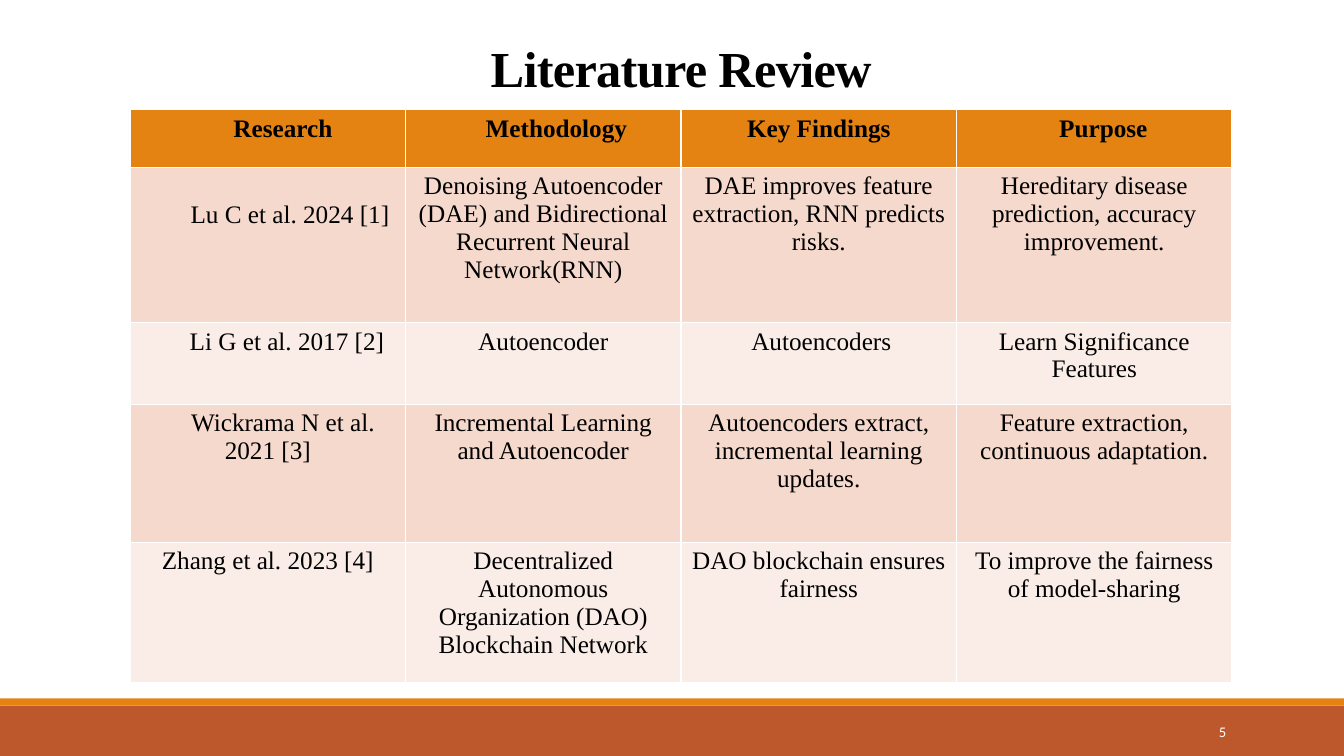
"""Build the literature review slide with its comparison table."""
import dataclasses
import typing

import pptx
import pptx.dml.color
import pptx.enum.shapes
import pptx.enum.text
import pptx.slide
import pptx.text.text
import pptx.util

Inches = pptx.util.Inches
Align = pptx.enum.text.PP_ALIGN
Anchor = pptx.enum.text.MSO_ANCHOR


@dataclasses.dataclass(frozen=True)
class Theme:
    """Colours, fonts and type sizes of the slide."""
    orange: str = "E48312"
    rust: str = "BD582C"
    bands: tuple[str, str] = ("F5D9CC", "FAEDE7")
    black: str = "000000"
    white: str = "FFFFFF"
    serif: str = "Times New Roman"
    sans: str = "Calibri"
    title_size: float = 36
    table_size: float = 18
    number_size: float = 10.5


class Bar(typing.NamedTuple):
    """A full-width footer bar."""
    top: float
    height: float
    color: str


class Entry(typing.NamedTuple):
    """A table cell's wording with its first-line indent and extra top space."""
    text: str
    indent: float = 0
    drop: float = 0


class Row(typing.NamedTuple):
    """A table row."""
    height: float
    entries: tuple[Entry, ...]


THEME = Theme()
SLIDE_WIDTH = 13.33
LEFT, CONTENT_WIDTH = 1.29, 10.93
BARS = (Bar(7, 0.5, THEME.rust), Bar(6.93, 0.07, THEME.orange))
ROWS = (
    Row(0.57, (
        Entry("Research", 0.3),
        Entry("Methodology", 0.26),
        Entry("Key Findings"),
        Entry("Purpose", 0.18))),
    Row(1.54, (
        Entry("Lu C et al. 2024 [1]", 0.44, 0.28),
        Entry("Denoising Autoencoder (DAE) and Bidirectional Recurrent Neural Network(RNN)"),
        Entry("DAE improves feature extraction, RNN predicts risks."),
        Entry("Hereditary disease prediction, accuracy improvement."))),
    Row(0.81, (
        Entry("Li G et al. 2017 [2]", 0.38),
        Entry("Autoencoder"),
        Entry("Autoencoders", 0.05),
        Entry("Learn Significance Features"))),
    Row(1.37, (
        Entry("Wickrama N et al. 2021 [3]", 0.3),
        Entry("Incremental Learning and Autoencoder"),
        Entry("Autoencoders extract, incremental learning updates."),
        Entry("Feature extraction, continuous adaptation."))),
    Row(1.39, (
        Entry("Zhang et al. 2023 [4]"),
        Entry("Decentralized Autonomous Organization (DAO) Blockchain Network"),
        Entry("DAO blockchain ensures fairness"),
        Entry("To improve the fairness of model-sharing"))),
)


def rgb(color: str) -> pptx.dml.color.RGBColor:
    """Turn a hex string into a colour."""
    return pptx.dml.color.RGBColor.from_string(color)


def write(frame: pptx.text.text.TextFrame, text: str, size: float, color: str,
          font: str = THEME.serif, bold: bool = False,
          align: Align = Align.CENTER) -> pptx.text.text._Paragraph:
    """Set a frame's text in one format and return its paragraph."""
    frame.text = text
    frame.word_wrap = True
    para = frame.paragraphs[0]
    para.alignment = align
    span = para.runs[0].font
    span.name, span.size, span.bold = font, pptx.util.Pt(size), bold
    span.color.rgb = rgb(color)
    return para


def draw_bar(page: pptx.slide.Slide, bar: Bar) -> None:
    """Draw one footer bar."""
    shape = page.shapes.add_shape(
        pptx.enum.shapes.MSO_SHAPE.RECTANGLE,
        0, Inches(bar.top), Inches(SLIDE_WIDTH), Inches(bar.height))
    shape.shadow.inherit = False
    shape.fill.solid()
    shape.fill.fore_color.rgb = rgb(bar.color)
    shape.line.fill.background()


def draw_title(page: pptx.slide.Slide, text: str) -> None:
    """Place and format the title placeholder."""
    title = page.shapes.title
    title.left, title.top = Inches(LEFT), Inches(0.04)
    title.width, title.height = Inches(CONTENT_WIDTH), Inches(0.98)
    para = write(title.text_frame, text, THEME.title_size, THEME.black, bold=True)
    para.line_spacing = 0.85
    para.runs[0].font._element.set("spc", "-50")
    title.text_frame.vertical_anchor = Anchor.BOTTOM
    title.text_frame.auto_size = pptx.enum.text.MSO_AUTO_SIZE.NONE


def draw_number(page: pptx.slide.Slide, text: str) -> None:
    """Write the page number in the footer."""
    box = page.shapes.add_textbox(Inches(10.83), Inches(7.06), Inches(1.43), Inches(0.4))
    write(box.text_frame, text, THEME.number_size, THEME.white, THEME.sans, align=Align.RIGHT)
    box.text_frame.vertical_anchor = Anchor.MIDDLE


def draw_table(page: pptx.slide.Slide, rows: tuple[Row, ...]) -> None:
    """Draw the table with a bold header and alternating row fills."""
    columns = len(rows[0].entries)
    table = page.shapes.add_table(
        len(rows), columns, Inches(LEFT), Inches(1.09), Inches(CONTENT_WIDTH),
        Inches(sum(row.height for row in rows))).table
    for index, row in enumerate(rows):
        table.rows[index].height = Inches(row.height)
        header = index == 0
        fill = THEME.orange if header else THEME.bands[(index - 1) % 2]
        for column, entry in enumerate(row.entries):
            cell = table.cell(index, column)
            cell.fill.solid()
            cell.fill.fore_color.rgb = rgb(fill)
            cell.margin_top = Inches(0.05 + entry.drop)
            para = write(cell.text_frame, entry.text, THEME.table_size, THEME.black, bold=header)
            para._p.get_or_add_pPr().set("indent", str(Inches(entry.indent)))


def main() -> None:
    """Build and save the deck."""
    deck = pptx.Presentation()
    deck.slide_width, deck.slide_height = Inches(SLIDE_WIDTH), Inches(7.5)
    page = deck.slides.add_slide(deck.slide_layouts.get_by_name("Title Only"))
    for bar in BARS:
        draw_bar(page, bar)
    draw_title(page, "Literature Review")
    draw_number(page, "5")
    draw_table(page, ROWS)
    deck.save("out.pptx")


if __name__ == "__main__":
    main()
